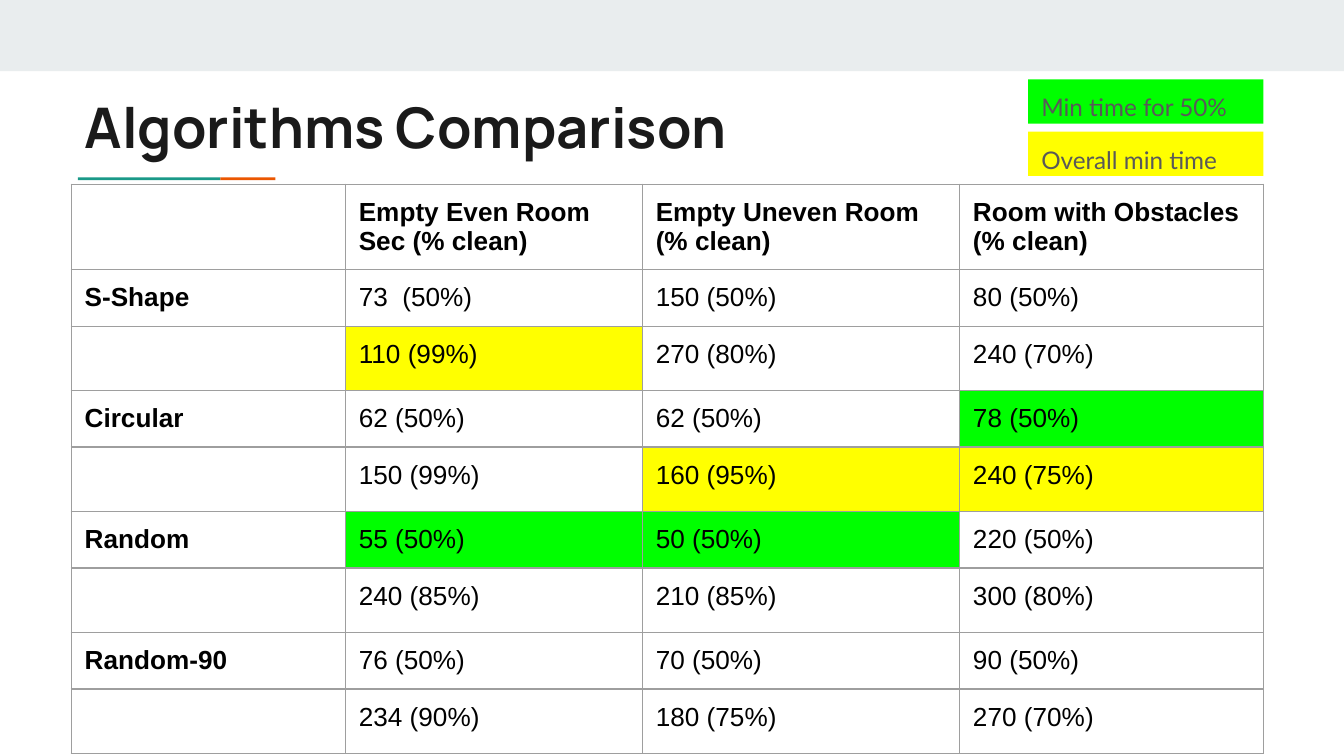
from lxml import etree
from pptx import Presentation
from pptx import util as u
from pptx.dml import color
from pptx.enum import shapes, text
from pptx.oxml import ns

COLORS = {"band": "E9EDEE", "teal": "1A9988", "orange": "EB5600", "title": "1A1A1A",
          "grid": "9E9E9E", "cell": "FFFFFF", "ink": "000000", "legend": "595959",
          "half": "00FF00", "overall": "FFFF00"}


def add_block(left, top, width, height, fill):
    block = slide.shapes.add_shape(shapes.MSO_SHAPE.RECTANGLE, u.Inches(left), u.Inches(top),
                                   u.Inches(width), u.Inches(height))
    block.shadow.inherit = False
    block.fill.solid()
    block.fill.fore_color.rgb = color.RGBColor.from_string(COLORS[fill])
    block.line.fill.background()
    return block


def write(frame, words, font_name, size, ink, bold=False):
    frame.margin_left = frame.margin_right = u.Inches(0.1)
    frame.margin_top = frame.margin_bottom = u.Inches(0.1)
    frame.vertical_anchor = text.MSO_ANCHOR.TOP
    frame.text = words
    for paragraph in frame.paragraphs:
        paragraph.alignment = text.PP_ALIGN.LEFT
        paragraph.font.name = font_name
        paragraph.font.size = u.Pt(size)
        paragraph.font.bold = bold
        paragraph.font.color.rgb = color.RGBColor.from_string(COLORS[ink])


prs = Presentation()
prs.slide_width = u.Inches(10)
prs.slide_height = prs.slide_width * 9 // 16
slide = prs.slides.add_slide(prs.slide_layouts[5])

add_block(0, 0, 10, 0.53, "band")
add_block(0.58, 1.32, 1.06, 0.02, "teal")
add_block(1.64, 1.32, 0.41, 0.02, "orange")

title = slide.shapes.title
title.left, title.top = u.Inches(0.53), u.Inches(0.59)
title.width, title.height = u.Inches(5.09), u.Inches(0.59)
write(title.text_frame, "Algorithms Comparison", "Manrope", 30, "title", True)
title.text_frame.auto_size = text.MSO_AUTO_SIZE.NONE

results = [
    ["", "Empty Even Room\nSec (% clean)", "Empty Uneven Room\n(% clean)",
     "Room with Obstacles\n(% clean)"],
    ["S-Shape", "73  (50%)", "150 (50%)", "80 (50%)"],
    ["", "110 (99%)", "270 (80%)", "240 (70%)"],
    ["Circular", "62 (50%)", "62 (50%)", "78 (50%)"],
    ["", "150 (99%)", "160 (95%)", "240 (75%)"],
    ["Random", "55 (50%)", "50 (50%)", "220 (50%)"],
    ["", "240 (85%)", "210 (85%)", "300 (80%)"],
    ["Random-90", "76 (50%)", "70 (50%)", "90 (50%)"],
    ["", "234 (90%)", "180 (75%)", "270 (70%)"],
]
best = {(2, 1): "overall", (3, 3): "half", (4, 2): "overall", (4, 3): "overall",
        (5, 1): "half", (5, 2): "half"}
col_widths = [2.04, 2.21, 2.36, 2.26]
row_heights = [0.63] + [0.42, 0.48] * 4

comparison = slide.shapes.add_table(
    len(results), len(col_widths), u.Inches(0.53), u.Inches(1.37),
    u.Inches(sum(col_widths)), u.Inches(sum(row_heights))).table
comparison.first_row = comparison.horz_banding = False
for column, width in zip(comparison.columns, col_widths):
    column.width = u.Inches(width)

for r, (row, height) in enumerate(zip(results, row_heights)):
    comparison.rows[r].height = u.Inches(height)
    for c, words in enumerate(row):
        cell = comparison.cell(r, c)
        write(cell.text_frame, words, "Arial", 14, "ink", r == 0 or c == 0)
        cell.margin_left = cell.margin_right = u.Inches(0.1)
        cell.margin_top = cell.margin_bottom = u.Inches(0.1)
        cell.vertical_anchor = text.MSO_ANCHOR.TOP
        props = cell._tc.get_or_add_tcPr()
        for side in ("a:lnL", "a:lnR", "a:lnT", "a:lnB"):
            border = etree.SubElement(props, ns.qn(side), w=str(u.Pt(0.75)))
            paint = etree.SubElement(border, ns.qn("a:solidFill"))
            etree.SubElement(paint, ns.qn("a:srgbClr"), val=COLORS["grid"])
        cell.fill.solid()
        cell.fill.fore_color.rgb = color.RGBColor.from_string(COLORS[best.get((r, c), "cell")])

for top, label, fill in [(0.59, "Min time for 50%", "half"), (0.98, "Overall min time", "overall")]:
    key = add_block(7.65, top, 1.75, 0.33, fill)
    write(key.text_frame, label, "Lato", 13, "legend")

prs.save("out.pptx")
